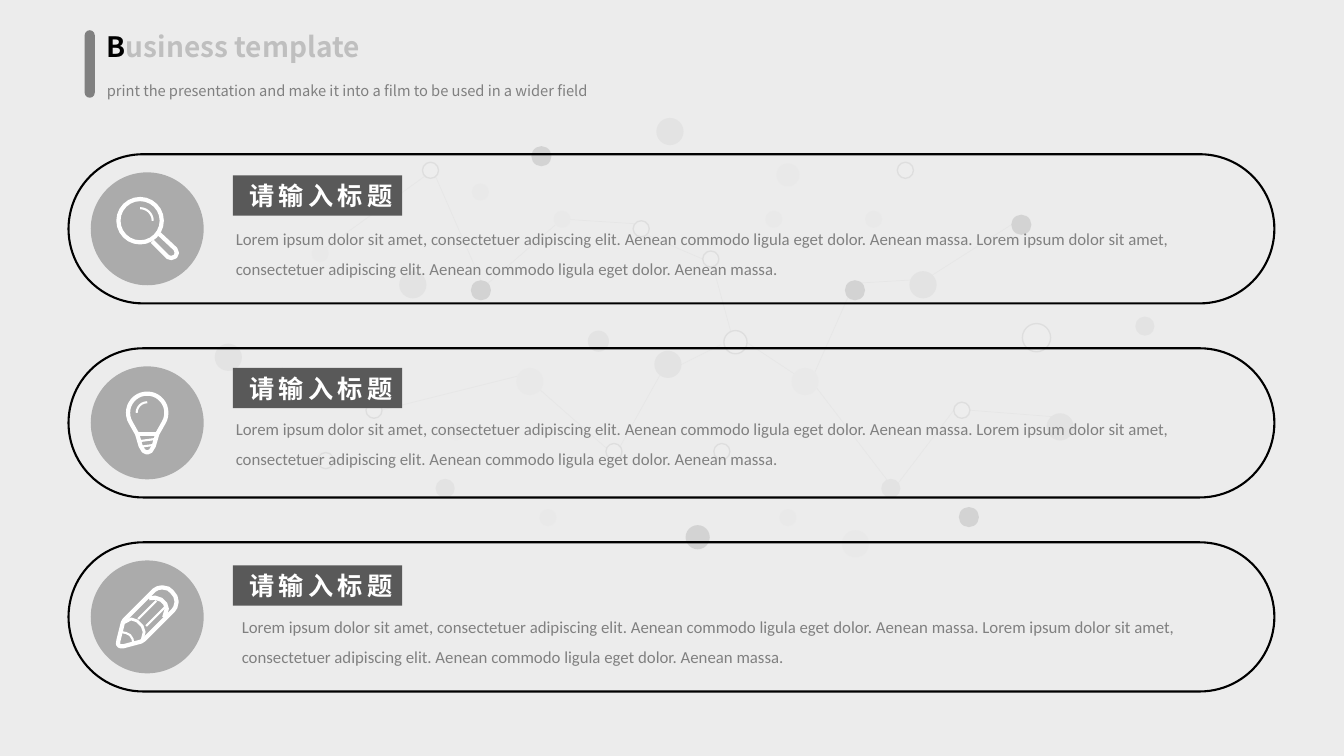
import math
from dataclasses import dataclass
from typing import NamedTuple

from lxml import etree
from pptx import Presentation
from pptx import util as u
from pptx.dml import color
from pptx.enum import shapes, text
from pptx.oxml import ns


@dataclass(frozen=True)
class Theme:
    paper: str = "ECECEC"
    ink: str = "000000"
    grey: str = "808080"
    silver: str = "BFBFBF"
    label: str = "595959"
    white: str = "FFFFFF"
    heading_font: str = "Noto Sans CJK SC"
    body_font: str = "Calibri"
    label_font: str = "Arial"
    title_size: float = 20
    subtitle_size: float = 10.5
    label_size: float = 18
    body_size: float = 12


class DotGroup(NamedTuple):
    fill: str
    outline: str | None
    dots: list[tuple[float, float, float]]  # left, top, diameter


class Stroke(NamedTuple):
    points: list[tuple[float, float]]  # thousandths of an inch from the disc centre
    weight: float = 3
    closed: bool = False


class Ring(NamedTuple):
    preset: shapes.MSO_SHAPE
    centre: tuple[float, float]
    diameter: float
    weight: float = 3
    rotation: float = 0


class Card(NamedTuple):
    label_top: float
    body_left: float
    body_top: float
    icon: list[Stroke | Ring]


THEME, KIND = Theme(), shapes.MSO_SHAPE
WIDTH, HEIGHT = 13.33, 7.5
SUBTITLE = "print the presentation and make it into a film to be used in a wider field"
LABEL = "请输入标题"
BODY = " ".join(["Lorem ipsum dolor sit amet, consectetuer adipiscing elit. "
                 "Aenean commodo ligula eget dolor. Aenean massa."] * 2)

# Background network
LINKS = [
    (8.41, 2.95, 8.07, 3.72), (9.17, 2.77, 8.49, 2.81), (9.12, 2.81, 10.03, 2.23),
    (7.15, 3.42, 6.67, 3.66), (3.78, 4.07, 5.18, 3.72), (2.9, 3.74, 3.71, 4.05),
    (6.03, 4.46, 5.2, 3.73), (6.15, 4.43, 6.58, 3.66), (7.06, 2.6, 7.27, 3.37),
    (7.35, 3.36, 8, 3.79), (9.62, 4.07, 10.52, 4.14), (8.88, 4.83, 9.46, 4.07),
    (8.85, 4.83, 8.04, 3.77), (5.52, 2.17, 6.3, 2.22), (5.51, 2.23, 4.84, 2.81),
    (6.41, 2.33, 6.97, 2.57), (3.23, 2.46, 4.21, 1.75), (4.77, 2.78, 4.32, 1.75)]
DOT_GROUPS = [
    DotGroup("262626", None, [
        (10.03, 2.13, 0.2), (8.38, 2.78, 0.2), (9.51, 5.03, 0.2), (5.27, 1.45, 0.2),
        (4.67, 2.78, 0.2), (2.7, 3.65, 0.2), (6.8, 5.21, 0.24)]),
    DotGroup("A6A6A6", None, [
        (9.02, 2.69, 0.27), (11.26, 3.14, 0.19), (10.38, 4.1, 0.27), (8.74, 4.75, 0.19),
        (2.13, 3.41, 0.27), (3.96, 2.69, 0.27), (4.32, 4.75, 0.19), (5.83, 3.28, 0.21),
        (6.51, 1.17, 0.27), (6.49, 3.48, 0.27)]),
    DotGroup("D9D9D9", None, [
        (8.58, 2.09, 0.17), (7.59, 2.09, 0.17), (7.73, 5.05, 0.17), (7.85, 3.65, 0.27),
        (8.35, 5.26, 0.27), (3.09, 2.43, 0.17), (4.68, 1.82, 0.17), (5.49, 2.09, 0.17),
        (5.35, 5.05, 0.17), (5.12, 3.65, 0.27), (4.44, 4.2, 0.17), (7.7, 1.62, 0.23)]),
    DotGroup("F7F7F7", THEME.grey, [
        (9.46, 3.99, 0.16), (8.9, 1.61, 0.16), (6.97, 2.49, 0.16), (7.08, 4.4, 0.16),
        (10.14, 3.21, 0.28), (3.63, 3.99, 0.16), (4.19, 1.61, 0.16), (6.28, 2.19, 0.16),
        (6.01, 4.4, 0.16), (3.15, 4.49, 0.16), (7.18, 3.28, 0.23)])]

# Icons
MAGNIFIER = [
    Ring(KIND.OVAL, (-0.07, -0.08), 0.43), Ring(KIND.ARC, (-0.07, -0.08), 0.25, 1.5),
    Stroke([(120, 50), (280, 200), (295, 240), (280, 275), (240, 290), (205, 280), (50, 125)])]
GLASS = [(190 * math.cos(math.radians(a)), -100 + 190 * math.sin(math.radians(a)))
         for a in range(150, 391, 10)]
SOCKET = [(100, 110), (65, 230), (35, 280), (0, 295), (-35, 280), (-65, 230), (-100, 110)]
BULB = [
    Stroke(GLASS + SOCKET, closed=True), Stroke([(-100, 110), (100, 110)]),
    Stroke([(-70, 180), (80, 160)], 1.5), Stroke([(-50, 235), (60, 220)], 1.5),
    Ring(KIND.ARC, (0, -0.1), 0.21, 1.5, -90)]
PENCIL = [
    Stroke([(-290, 270), (-285, 235), (-240, 55), (-225, 30), (70, -265), (105, -285),
            (150, -293), (210, -280), (245, -250), (280, -205), (293, -150), (280, -95),
            (260, -65), (-30, 225), (-60, 245), (-240, 293), (-275, 290)], closed=True),
    Stroke([(-225, 55), (-160, 20), (-100, 40), (-50, 90), (-30, 150), (-50, 230)], 2),
    Stroke([(20, -185), (80, -190), (140, -170), (180, -130), (195, -80), (170, 5)]),
    Stroke([(-90, 20), (90, -160)], 1.5), Stroke([(-10, 90), (170, -90)], 1.5),
    Stroke([(-260, 150), (-210, 160), (-170, 180), (-145, 220), (-140, 255)], 1.5)]

# Cards
CARDS = [Card(1.74, 2.24, 2.12, MAGNIFIER), Card(3.65, 2.24, 4, BULB),
         Card(5.61, 2.3, 5.97, PENCIL)]
FIRST_TOP, LAST_TOP = 1.53, 5.38
PITCH = (LAST_TOP - FIRST_TOP) / (len(CARDS) - 1)
CARD_HEIGHT, DISC = 1.48, 1.12


def rgb(value: str) -> color.RGBColor:
    return color.RGBColor.from_string(value)


def paint(item, fill: str | None = None, outline: str | None = None,
          weight: float = 1, opacity: int = 100) -> None:
    item.shadow.inherit = False
    item.fill.background()
    item.line.fill.background()
    if fill:
        item.fill.solid()
        item.fill.fore_color.rgb = rgb(fill)
        if opacity < 100:
            tint = item._element.spPr.find(ns.qn("a:solidFill"))[0]
            etree.SubElement(tint, ns.qn("a:alpha")).set("val", str(opacity * 1000))
    if outline:
        item.line.color.rgb, item.line.width = rgb(outline), u.Pt(weight)


def add_preset(slide, preset: shapes.MSO_SHAPE, box: tuple[float, ...], **look):
    item = slide.shapes.add_shape(preset, *map(u.Inches, box))
    paint(item, **look)
    if preset == KIND.ROUNDED_RECTANGLE:
        item.adjustments[0] = 0.5
    return item


def write(frame, runs: list[tuple[str, str]], size: float, font: str, bold: bool = False,
          spacing: float = 1, anchor=text.MSO_ANCHOR.TOP, align=text.PP_ALIGN.LEFT):
    frame.word_wrap, frame.auto_size = True, text.MSO_AUTO_SIZE.NONE
    frame.vertical_anchor = anchor
    paragraph = frame.paragraphs[0]
    paragraph.alignment, paragraph.line_spacing = align, spacing
    paragraph.space_before = u.Pt(0)
    for words, tint in runs:
        run = paragraph.add_run()
        run.text = words
        run.font.size, run.font.name, run.font.bold = u.Pt(size), font, bold
        run.font.color.rgb = rgb(tint)
        etree.SubElement(run.font._element, ns.qn("a:ea")).set("typeface", THEME.heading_font)
    return paragraph


def draw_network(slide) -> None:
    for ends in LINKS:
        link = slide.shapes.add_connector(shapes.MSO_CONNECTOR.STRAIGHT, *map(u.Inches, ends))
        link.line.color.rgb, link.line.width = rgb(THEME.silver), u.Pt(0.5)
        etree.SubElement(link._element.spPr, ns.qn("a:effectLst"))
    for group in DOT_GROUPS:
        for left, top, size in group.dots:
            add_preset(slide, KIND.OVAL, (left, top, size, size),
                       fill=group.fill, outline=group.outline)
    add_preset(slide, KIND.RECTANGLE, (0, 0, WIDTH, HEIGHT), fill=THEME.paper, opacity=88)


def draw_icon(slide, icon: list[Stroke | Ring], x: float, y: float) -> None:
    for part in icon:
        if isinstance(part, Ring):
            size, (dx, dy) = part.diameter, part.centre
            ring = add_preset(slide, part.preset, (x + dx - size / 2, y + dy - size / 2, size, size),
                              outline=THEME.white, weight=part.weight)
            ring.rotation = part.rotation
        else:
            builder = slide.shapes.build_freeform(*part.points[0], scale=u.Inches(0.001))
            builder.add_line_segments(part.points[1:], close=part.closed)
            paint(builder.convert_to_shape(u.Inches(x), u.Inches(y)),
                  outline=THEME.white, weight=part.weight)


def draw_card(slide, card: Card, top: float) -> None:
    add_preset(slide, KIND.ROUNDED_RECTANGLE, (0.68, top, 11.96, CARD_HEIGHT),
               outline=THEME.ink, weight=1.5)
    add_preset(slide, KIND.OVAL, (0.9, top + (CARD_HEIGHT - DISC) / 2, DISC, DISC),
               fill=THEME.grey, opacity=60)
    draw_icon(slide, card.icon, 0.9 + DISC / 2, top + CARD_HEIGHT / 2)
    body = slide.shapes.add_textbox(*map(u.Inches, (card.body_left, card.body_top, 9.67, 0.68)))
    write(body.text_frame, [(BODY, THEME.grey)], THEME.body_size, THEME.body_font, spacing=1.5)
    label = add_preset(slide, KIND.RECTANGLE, (2.31, card.label_top, 1.68, 0.4), fill=THEME.label)
    heading = write(label.text_frame, [(LABEL, THEME.white)], THEME.label_size, THEME.label_font,
                    True, anchor=text.MSO_ANCHOR.MIDDLE, align=text.PP_ALIGN.RIGHT)
    heading.runs[0].font._element.set("spc", "300")


def draw_header(slide) -> None:
    title, subtitle = slide.shapes.title, slide.placeholders[1]
    for item, box in ((title, (0.96, 0.24, 3.6, 0.44)), (subtitle, (0.96, 0.73, 5.34, 0.3))):
        item._element.getparent().append(item._element)  # in front of the veil
        item.left, item.top, item.width, item.height = map(u.Inches, box)
    write(title.text_frame, [("B", THEME.ink), ("usiness template", THEME.silver)],
          THEME.title_size, THEME.heading_font, True)
    tagline = write(subtitle.text_frame, [(SUBTITLE, THEME.grey)], THEME.subtitle_size,
                    THEME.heading_font, spacing=1.2)
    layout = tagline._p.get_or_add_pPr()
    layout.set("marL", "0")
    layout.set("indent", "0")
    etree.SubElement(layout, ns.qn("a:buNone"))
    add_preset(slide, KIND.ROUNDED_RECTANGLE, (0.84, 0.3, 0.1, 0.67), fill=THEME.grey)


deck = Presentation()
deck.slide_width, deck.slide_height = u.Inches(WIDTH), u.Inches(HEIGHT)
page = deck.slides.add_slide(deck.slide_layouts[1])
page.background.fill.solid()
page.background.fill.fore_color.rgb = rgb(THEME.paper)
draw_network(page)
for row, entry in enumerate(CARDS):
    draw_card(page, entry, FIRST_TOP + row * PITCH)
draw_header(page)
deck.save("out.pptx")
